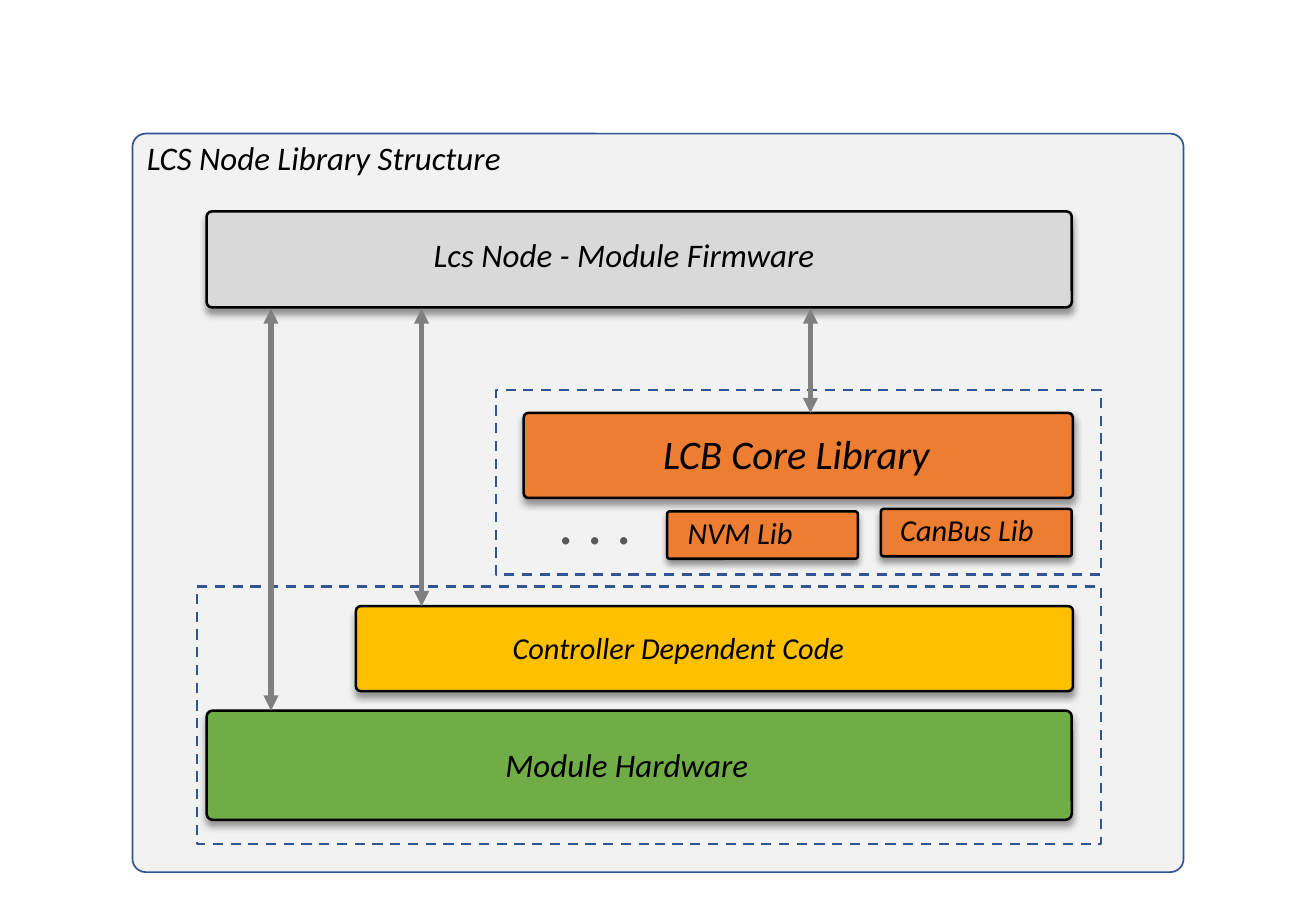
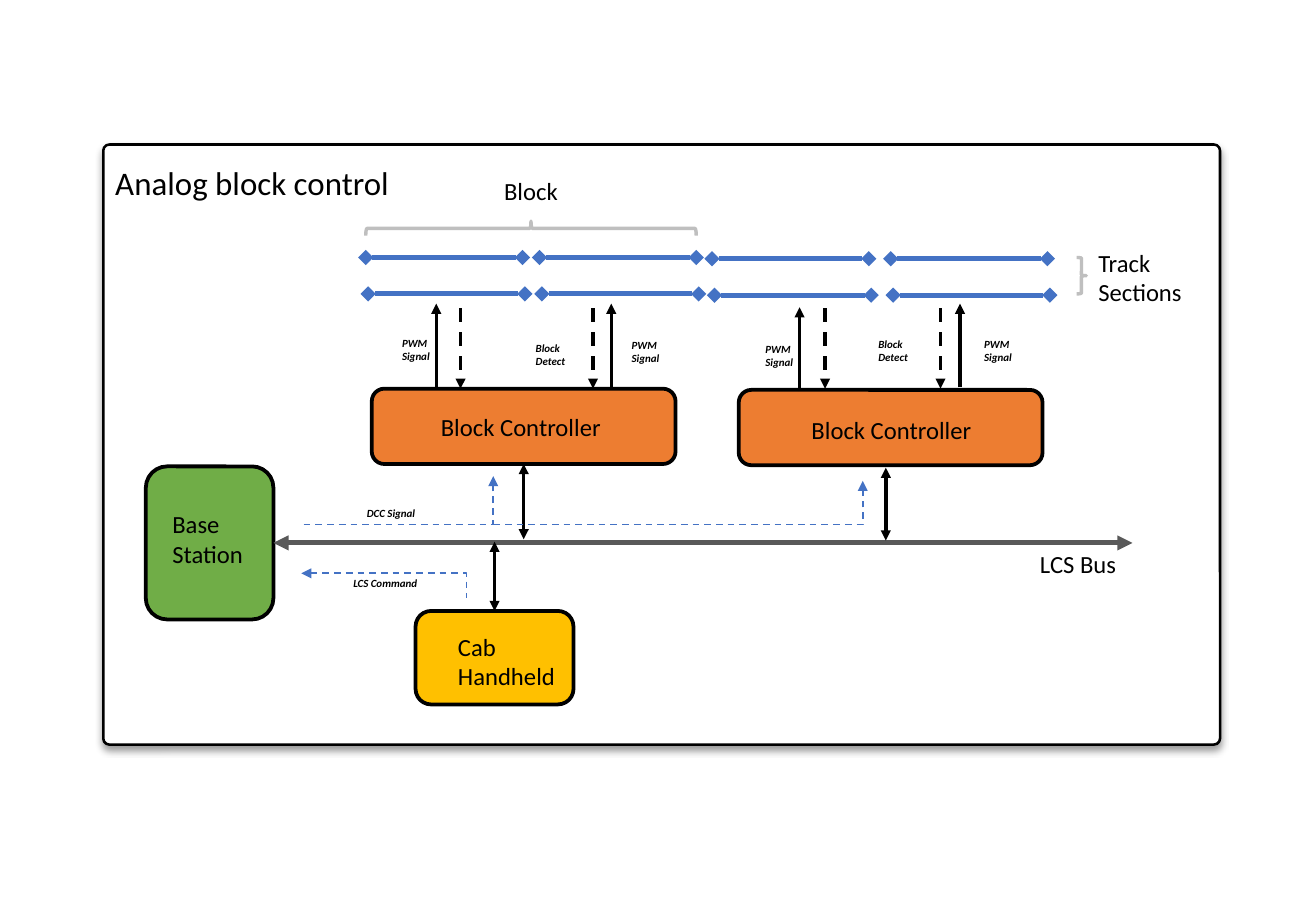
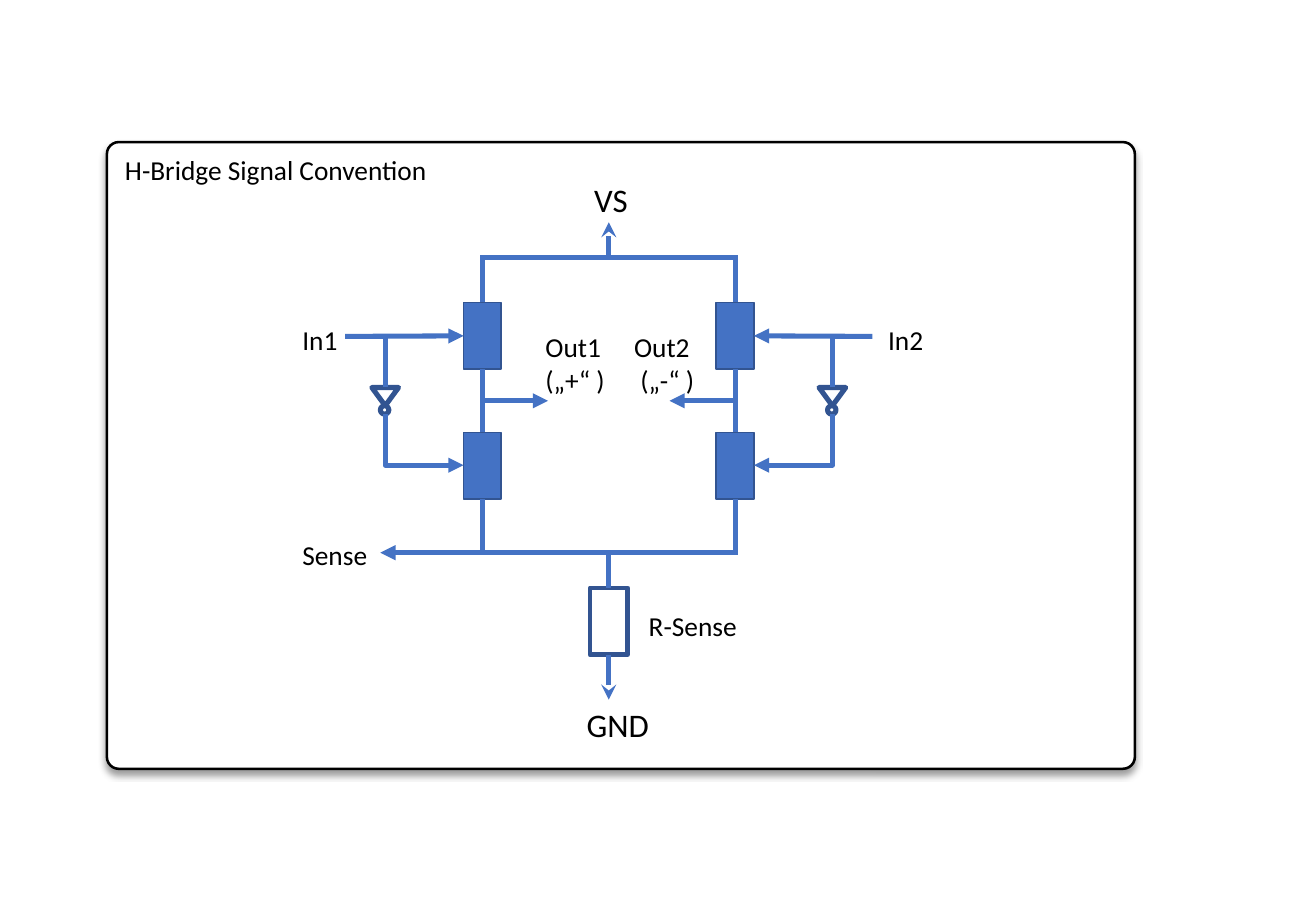
"""Build three diagrams: node library layers, analog block control and an H-bridge."""
from lxml import etree
from pptx import Presentation
from pptx import util as u
from pptx.dml.color import RGBColor
from pptx.enum import dml, shapes, text
from pptx.oxml.ns import qn

BLACK = RGBColor(0x00, 0x00, 0x00)
WHITE = RGBColor(0xFF, 0xFF, 0xFF)
PALE = RGBColor(0xF2, 0xF2, 0xF2)
SILVER = RGBColor(0xD9, 0xD9, 0xD9)
LIGHT_GRAY = RGBColor(0xBF, 0xBF, 0xBF)
GRAY = RGBColor(0x80, 0x80, 0x80)
DARK_GRAY = RGBColor(0x59, 0x59, 0x59)
NAVY = RGBColor(0x32, 0x54, 0x91)
BLUE = RGBColor(0x44, 0x72, 0xC4)
ORANGE = RGBColor(0xED, 0x7D, 0x31)
YELLOW = RGBColor(0xFF, 0xC0, 0x00)
GREEN = RGBColor(0x70, 0xAD, 0x47)
FONT = "Calibri"
TITLE, LABEL, PIN, TINY = 19.5, 14.6, 16.2, 6.5
TOP, LEFT, BOTTOM, RIGHT = range(4)
ROUND = shapes.MSO_SHAPE.ROUNDED_RECTANGLE
RECT = shapes.MSO_SHAPE.RECTANGLE
BRACE = shapes.MSO_SHAPE.RIGHT_BRACE
TRIANGLE = shapes.MSO_SHAPE.ISOSCELES_TRIANGLE
OVAL = shapes.MSO_SHAPE.OVAL


def write(slide, words, left, top, width, height, size=LABEL, color=BLACK,
          bold=False, italic=False, wrap=False):
    label = slide.shapes.add_textbox(
        u.Inches(left), u.Inches(top), u.Inches(width), u.Inches(height))
    frame = label.text_frame
    frame.word_wrap = wrap
    frame.auto_size = text.MSO_AUTO_SIZE.SHAPE_TO_FIT_TEXT
    frame.text = words
    for paragraph in frame.paragraphs:
        font = paragraph.runs[0].font
        font.name, font.size = FONT, u.Pt(size)
        font.bold, font.italic = bold, italic
        font.color.rgb = color


def wire(slide, start, end, color=BLUE, width=3, head=None, tail=None,
         dashed=False, elbow=False, start_on=None, end_on=None):
    kind = shapes.MSO_CONNECTOR.ELBOW if elbow else shapes.MSO_CONNECTOR.STRAIGHT
    link = slide.shapes.add_connector(
        kind, *[u.Inches(value) for value in (*start, *end)])
    properties = link._element.spPr
    if elbow:
        properties.find(qn("a:prstGeom")).set("prst", "bentConnector2")
    if start_on:
        link.begin_connect(*start_on)
    if end_on:
        link.end_connect(*end_on)
    link.line.color.rgb = color
    link.line.width = u.Pt(width)
    if dashed:
        link.line.dash_style = dml.MSO_LINE.DASH
    for tag, tip in (("a:headEnd", head), ("a:tailEnd", tail)):
        if tip:
            etree.SubElement(link.get_or_add_ln(), qn(tag), type=tip)
    etree.SubElement(properties, qn("a:effectLst"))


deck = Presentation()
deck.slide_width, deck.slide_height = u.Inches(10.83), u.Inches(7.5)
library, block, bridge = [deck.slides.add_slide(deck.slide_layouts[6]) for _ in range(3)]

AXIS = 5.01
LEG, INVERTER, INPUT, OUTPUT = 1.04, 1.84, 2.17, 0.5
PART_W, PART_H = 0.31, 0.55
UPPER_Y, LOWER_Y = 2.49, 3.56

plain = {"fill": None, "line": BLACK, "width": 1.5, "adjust": None,
         "shadow": False, "dashed": False, "turn": 0}
layer = {"line": BLACK, "adjust": 0.056, "shadow": True}
panel = {"fill": WHITE, "adjust": 0.01, "shadow": True}
station = {"width": 2.25}
brace = {"line": LIGHT_GRAY, "width": 2}
frame_style = {"line": NAVY, "dashed": True}
part = {"fill": BLUE, "line": NAVY, "width": 1}
gate = {"fill": WHITE, "line": NAVY, "width": 3, "turn": 180}

boxes = [
    ("library panel", library, ROUND, (1.09, 1.1, 8.65, 6.08),
     {"fill": PALE, "line": NAVY, "width": 1, "adjust": 0.018}),
    ("firmware", library, ROUND, (1.7, 1.74, 7.12, 0.79), {**layer, "fill": SILVER}),
    ("hardware", library, ROUND, (1.7, 5.85, 7.12, 0.9), {**layer, "fill": GREEN}),
    ("core", library, ROUND, (4.31, 3.4, 4.52, 0.7), {**layer, "fill": ORANGE}),
    ("canbus", library, ROUND, (7.25, 4.19, 1.57, 0.39), {**layer, "fill": ORANGE}),
    ("nvm", library, ROUND, (5.49, 4.21, 1.57, 0.39), {**layer, "fill": ORANGE}),
    ("controller code", library, ROUND, (2.93, 4.99, 5.9, 0.7), {**layer, "fill": YELLOW}),
    ("library frame", library, RECT, (4.08, 3.21, 4.98, 1.52), frame_style),
    ("hardware frame", library, RECT, (1.62, 4.83, 7.44, 2.12), frame_style),
    ("block panel", block, ROUND, (0.85, 1.19, 9.19, 4.94), panel),
    ("controller 1", block, ROUND, (3.06, 3.2, 2.5, 0.62), {**station, "fill": ORANGE}),
    ("controller 2", block, ROUND, (6.08, 3.21, 2.5, 0.62), {**station, "fill": ORANGE}),
    ("base", block, ROUND, (1.2, 3.84, 1.05, 1.26), {**station, "fill": GREEN}),
    ("cab", block, ROUND, (3.42, 5.03, 1.3, 0.77), {**station, "fill": YELLOW}),
    ("sections brace", block, BRACE, (8.86, 2.12, 0.08, 0.3), brace),
    ("block brace", block, BRACE, (4.31, 0.52, 0.12, 2.72), {**brace, "turn": 270}),
    ("bridge panel", bridge, ROUND, (0.88, 1.17, 8.46, 5.16), {**panel, "adjust": 0.019}),
    ("resistor", bridge, RECT, (AXIS - PART_W / 2, 4.84, PART_W, PART_H),
     {"fill": WHITE, "line": NAVY, "width": 2.75}),
]
for side in (-1, 1):
    part_x = AXIS + side * LEG - PART_W / 2
    gate_x = AXIS + side * INVERTER
    boxes += [
        (("upper", side), bridge, RECT, (part_x, UPPER_Y, PART_W, PART_H), part),
        (("lower", side), bridge, RECT, (part_x, LOWER_Y, PART_W, PART_H), part),
        (("inverter", side), bridge, TRIANGLE, (gate_x - 0.11, 3.19, 0.22, 0.15), gate),
        (("dot", side), bridge, OVAL, (gate_x - 0.04, 3.34, 0.07, 0.07), gate),
    ]

placed = {}
for name, slide, outline, place, changes in boxes:
    look = {**plain, **changes}
    box = slide.shapes.add_shape(outline, *[u.Inches(value) for value in place])
    placed[name] = box
    box.shadow.inherit = False
    box.rotation = look["turn"]
    if look["adjust"] is not None:
        box.adjustments[0] = look["adjust"]
    if look["fill"] is None:
        box.fill.background()
    else:
        box.fill.solid()
        box.fill.fore_color.rgb = look["fill"]
    box.line.color.rgb = look["line"]
    box.line.width = u.Pt(look["width"])
    if look["dashed"]:
        box.line.dash_style = dml.MSO_LINE.DASH
    if look["shadow"]:
        effects = box._element.spPr.find(qn("a:effectLst"))
        cast = etree.SubElement(effects, qn("a:outerShdw"), blurRad=str(u.Pt(4)),
                                dist=str(u.Pt(3)), dir="5400000", algn="t", rotWithShape="0")
        shade = etree.SubElement(cast, qn("a:srgbClr"), val=str(BLACK))
        etree.SubElement(shade, qn("a:alpha"), val="40000")

both = {"head": "triangle", "tail": "triangle"}
for x, bottom in ((2.23, 5.85), (3.47, 4.99), (6.67, 3.4)):
    wire(library, (x, 2.54), (x, bottom), color=GRAY, **both)

for words, place, size in (
        ("Lcs Node - Module Firmware", (3.47, 1.88, 3.36, 0.43), TITLE),
        ("Module Hardware", (4.06, 6.08, 2.22, 0.43), TITLE),
        ("LCB Core Library", (5.36, 3.48, 2.43, 0.5), 24),
        ("NVM Lib", (5.56, 4.18, 1.08, 0.4), 18),
        ("Controller Dependent Code", (4.12, 5.13, 2.96, 0.4), 18)):
    write(library, words, *place, size=size, italic=True)
write(library, "LCS Node Library Structure", 1.11, 1.08, 3.7, 0.43,
      size=TITLE, italic=True, wrap=True)
write(library, "CanBus Lib", 7.31, 4.16, 1.69, 0.4, size=18, italic=True, wrap=True)
write(library, ". . .", 4.5, 3.93, 0.81, 0.71, size=36, color=DARK_GRAY)

for rail_y, shift in ((2.12, 0), (2.42, 0.02)):
    for x, drop in ((3.01, 0), (4.44, 0), (5.86, 0.01), (7.33, 0.01)):
        wire(block, (x + shift, rail_y + drop), (x + shift + 1.29, rail_y + drop),
             head="diamond", tail="diamond")
wire(block, (2.25, 4.47), (9.32, 4.47), color=DARK_GRAY,
     start_on=(placed["base"], RIGHT), **both)
wire(block, (4.31, 4.44), (4.31, 3.82), color=BLACK, width=2,
     end_on=(placed["controller 1"], BOTTOM), **both)
wire(block, (7.29, 4.45), (7.29, 3.85), color=BLACK, width=2, **both)
wire(block, (4.07, 5.03), (4.07, 4.46), color=BLACK, width=2,
     start_on=(placed["cab"], TOP), **both)
for x, top in ((3.59, 2.5), (5.03, 2.5), (6.58, 2.53), (7.9, 2.5)):
    wire(block, (x, top + 0.69), (x, top), color=BLACK, width=2, tail="triangle")
for x in (3.79, 4.88, 6.79, 7.74):
    wire(block, (x, 2.54), (x, 3.2), color=BLACK, width=2, tail="triangle", dashed=True)
signal = {"width": 1, "dashed": True, "elbow": True}
wire(block, (2.48, 4.72), (3.84, 4.92), head="triangle", **signal)
wire(block, (2.5, 4.32), (4.06, 3.92), tail="triangle", **signal)
wire(block, (4.06, 4.32), (7.1, 3.96), tail="triangle", **signal)

write(block, "Analog block control", 0.85, 1.29, 2.94, 0.43, size=TITLE, wrap=True)
for words, place in (
        ("Block Controller", (3.53, 3.34, 1.53, 0.35)),
        ("Block Controller", (6.58, 3.37, 1.53, 0.35)),
        ("Base\nStation", (1.32, 4.14, 0.79, 0.59)),
        ("LCS Bus", (8.46, 4.47, 0.83, 0.35)),
        ("Track\nSections", (8.94, 1.99, 0.9, 0.59)),
        ("Block", (4.05, 1.4, 0.65, 0.35))):
    write(block, words, *place)
write(block, "Cab\nHandheld", 3.67, 5.15, 1.19, 0.59, wrap=True)
tiny = {"size": TINY, "bold": True, "italic": True}
write(block, "LCS Command", 2.81, 4.7, 0.73, 0.21, **tiny)
write(block, "DCC Signal", 2.92, 4.12, 0.61, 0.21, **tiny)
for words, x, y in (
        ("PWM Signal", 3.21, 2.72), ("PWM Signal", 5.1, 2.74),
        ("PWM Signal", 6.2, 2.77), ("PWM Signal", 8, 2.73),
        ("Block\nDetect", 4.31, 2.76), ("Block\nDetect", 7.13, 2.73)):
    write(block, words, x, y, 0.48, 0.32, wrap=True, **tiny)

for side, inner, outer in ((-1, RIGHT, LEFT), (1, LEFT, RIGHT)):
    upper, lower = placed["upper", side], placed["lower", side]
    leg = AXIS + side * LEG
    edge = leg + side * PART_W / 2
    inverter = AXIS + side * INVERTER
    wire(bridge, (leg, 2.12), (leg, UPPER_Y), end_on=(upper, TOP))
    wire(bridge, (leg, UPPER_Y + PART_H), (leg, LOWER_Y),
         start_on=(upper, BOTTOM), end_on=(lower, TOP))
    wire(bridge, (leg, LOWER_Y + PART_H), (leg, 4.56), start_on=(lower, BOTTOM))
    wire(bridge, (leg, 3.3), (AXIS + side * OUTPUT, 3.3), tail="triangle")
    wire(bridge, (edge, 2.77), (AXIS + side * INPUT, 2.77),
         head="triangle", start_on=(upper, outer))
    wire(bridge, (inverter, 2.77), (inverter, 3.19))
    wire(bridge, (edge, 3.83), (inverter, 3.41), head="triangle", elbow=True)
wire(bridge, (6.07, 2.12), (3.95, 2.12))
wire(bridge, (6.07, 4.55), (3.13, 4.55), tail="triangle")
wire(bridge, (AXIS, 4.55), (AXIS, 4.84), end_on=(placed["resistor"], TOP))
wire(bridge, (AXIS, 5.39), (AXIS, 5.76), tail="stealth",
     start_on=(placed["resistor"], BOTTOM))
wire(bridge, (AXIS, 2.12), (AXIS, 1.83), tail="stealth")

write(bridge, "H-Bridge Signal Convention", 0.93, 1.21, 3.19, 0.37, size=PIN, wrap=True)
for words, place, size in (
        ("Out1\n(„+“ )", (4.39, 2.67, 0.69, 0.65), PIN),
        ("Out2\n („-“ )", (5.12, 2.67, 0.7, 0.65), PIN),
        ("In1", (2.39, 2.61, 0.49, 0.37), PIN),
        ("In2", (7.21, 2.61, 0.49, 0.37), PIN),
        ("Sense", (2.39, 4.38, 0.74, 0.37), PIN),
        ("R-Sense", (5.24, 4.97, 0.94, 0.37), PIN),
        ("GND", (4.73, 5.75, 0.72, 0.43), TITLE),
        ("VS", (4.79, 1.43, 0.48, 0.43), TITLE)):
    write(bridge, words, *place, size=size)

deck.save("out.pptx")
